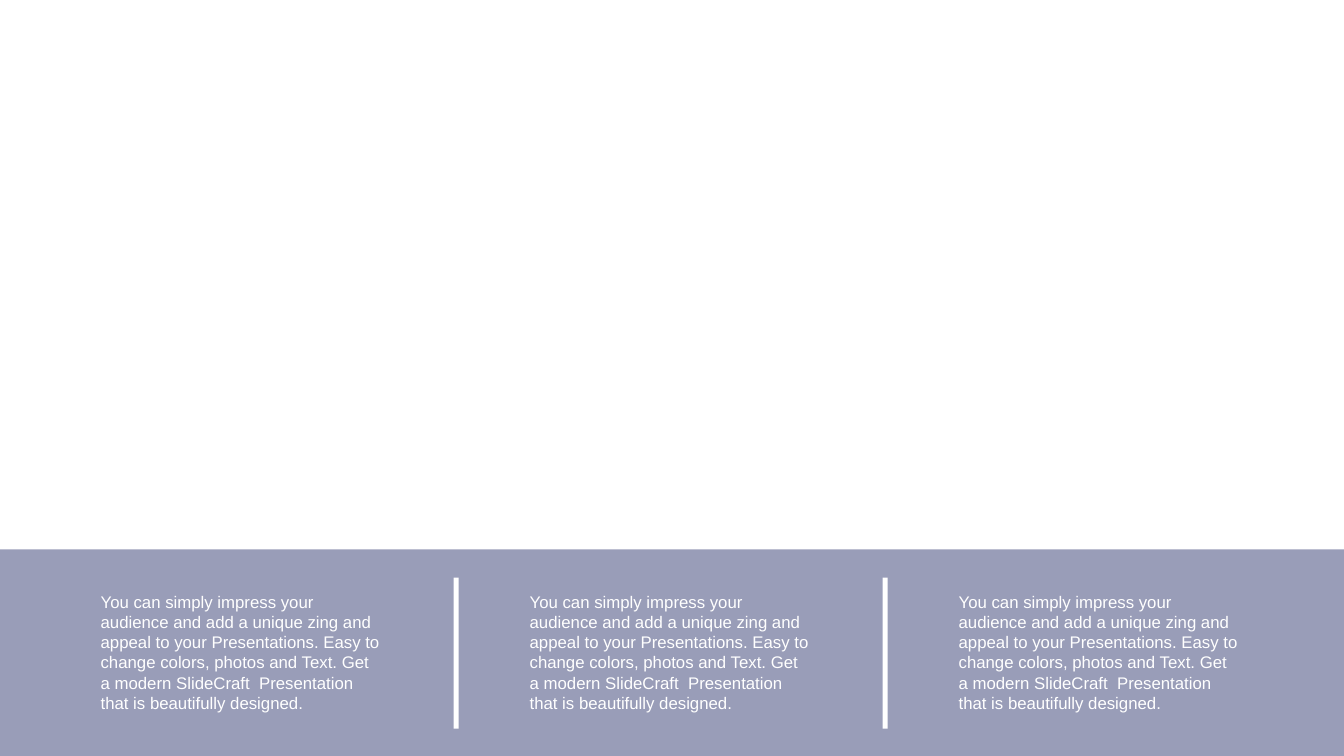
"""Build a slide with a tinted band holding three columns of text."""
from lxml.etree import SubElement as Sub
from pptx import Presentation
from pptx.dml.color import RGBColor as RGB
from pptx.enum.shapes import MSO_SHAPE as Kind
from pptx.enum.text import MSO_AUTO_SIZE as Fit
from pptx.oxml.ns import qn
from pptx.util import Inches as In, Pt

WIDE, HIGH = 13.33, 7.5
TOP = 5.45
LEFT, STEP = 0.9, 4.255
COLS = 3
TEXT = (
    "You can simply impress your audience and add a unique zing and appeal "
    "to your Presentations. Easy to change colors, photos and Text. Get a "
    "modern SlideCraft  Presentation that is beautifully designed."
)


def tint(hue):
    return RGB.from_string(hue)


def block(x, y, w, h, hue):
    rect = slide.shapes.add_shape(Kind.RECTANGLE, In(x), In(y), In(w), In(h))
    rect.shadow.inherit = False
    rect.fill.solid()
    rect.fill.fore_color.rgb = tint(hue)
    rect.line.fill.background()
    return rect


deck = Presentation()
deck.slide_width, deck.slide_height = In(WIDE), In(HIGH)
slide = deck.slides.add_slide(deck.slide_layouts[6])

band = block(0, TOP, WIDE, HIGH - TOP, "010A4F")
hue = band.fill._xPr.find(qn("a:solidFill")).find(qn("a:srgbClr"))
Sub(hue, qn("a:alpha"), val="40000")

style = {"name": "Arial", "size": Pt(12)}
for col in range(COLS):
    box = slide.shapes.add_textbox(In(LEFT + col * STEP), In(5.82), In(3), In(1.31))
    frame = box.text_frame
    frame.word_wrap = True
    frame.auto_size = Fit.SHAPE_TO_FIT_TEXT
    run = frame.paragraphs[0].add_run()
    run.text = TEXT
    for key, val in style.items():
        setattr(run.font, key, val)
    run.font.color.rgb = tint("FFFFFF")

for gap in range(COLS - 1):
    block(4.5 + gap * STEP, 5.73, 0.05, 1.5, "FFFFFF")

deck.save("out.pptx")
